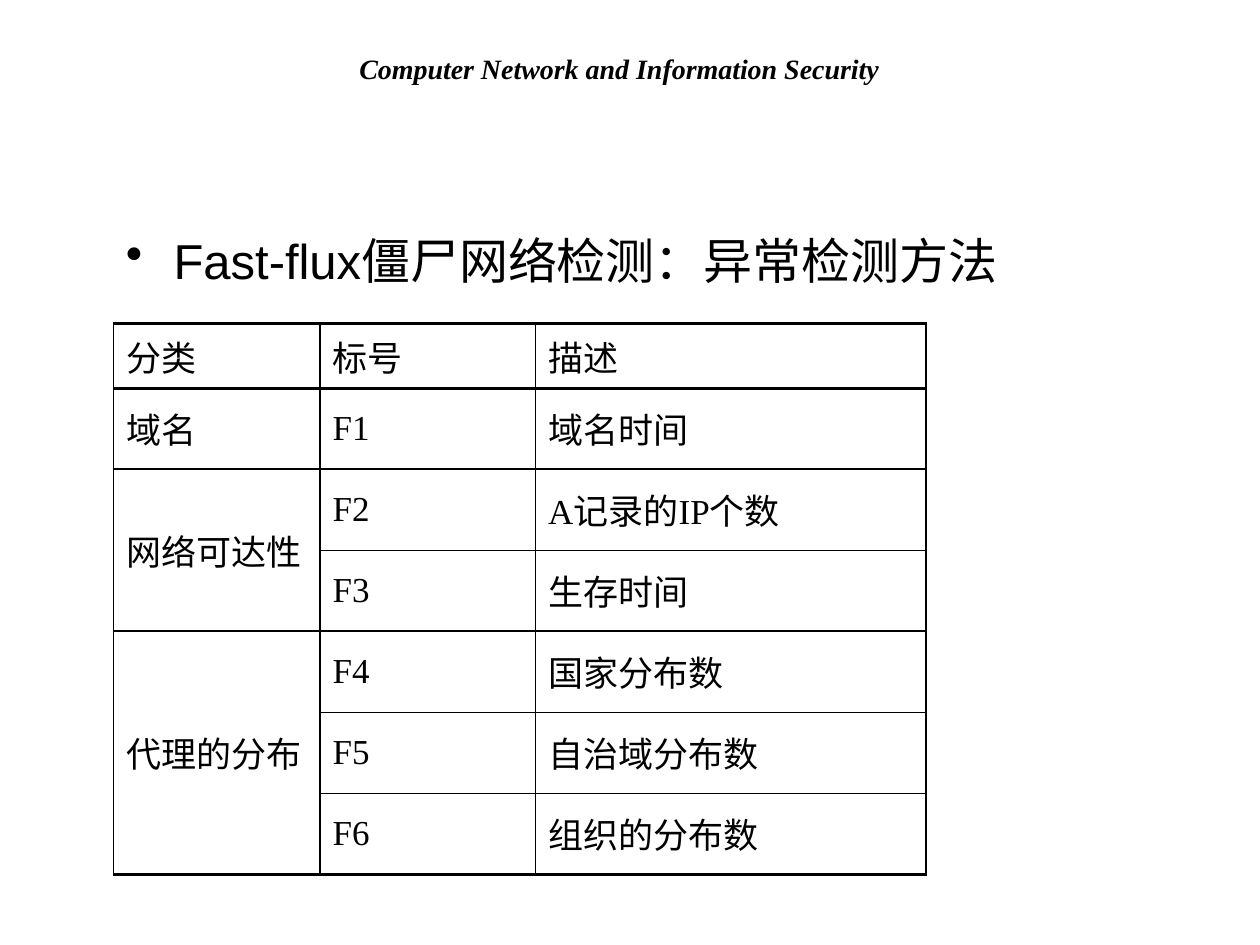
from lxml.etree import SubElement
from pptx import Presentation
from pptx.dml.color import RGBColor
from pptx.enum.shapes import MSO_SHAPE
from pptx.enum.text import MSO_ANCHOR, PP_ALIGN
from pptx.oxml.ns import qn
from pptx.util import Inches, Pt

BLACK, WHITE = "000000", "FFFFFF"
HANGING = 0.38
GROUPS = [
    ("分类", [("标号", "描述")]),
    ("域名", [("F1", "域名时间")]),
    ("网络可达性", [("F2", "A记录的IP个数"), ("F3", "生存时间")]),
    ("代理的分布", [("F4", "国家分布数"), ("F5", "自治域分布数"), ("F6", "组织的分布数")]),
]
COLUMN_WIDTHS = [1.64, 1.71, 3.1]
ROW_HEIGHTS = [0.51] + [0.643] * 6
RULE_WIDTHS = {0: 2, 1: 2, 2: 1, 4: 1, 7: 2}
THIN = 0.75


def color(value):
    return RGBColor.from_string(value)


class SlideBuilder:
    """Hold the text style and the current slide, and add its elements."""

    def __init__(self, slide):
        self.slide = slide
        self.serif = "Times New Roman"
        self.sans = "Arial"

    def add_run(self, paragraph, text, size, font, emphasis=False):
        run = paragraph.add_run()
        run.text = text
        run.font.size = Pt(size)
        run.font.name = font
        run.font.bold = run.font.italic = emphasis
        run.font.color.rgb = color(BLACK)

    def hang(self, paragraph):
        properties = paragraph._p.get_or_add_pPr()
        properties.set("marL", str(Inches(HANGING)))
        properties.set("indent", str(-Inches(HANGING)))
        return properties

    def add_header(self, text, left, top, width, height):
        shape = self.slide.shapes.add_shape(
            MSO_SHAPE.RECTANGLE, Inches(left), Inches(top), Inches(width), Inches(height))
        shape.shadow.inherit = False
        shape.fill.solid()
        shape.fill.fore_color.rgb = color(WHITE)
        shape.line.fill.background()
        shape.text_frame.vertical_anchor = MSO_ANCHOR.MIDDLE
        paragraph = shape.text_frame.paragraphs[0]
        paragraph.alignment = PP_ALIGN.CENTER
        self.add_run(paragraph, text, 16, self.serif, emphasis=True)

    def add_bullet(self, text, left, top, width, height):
        shape = self.slide.shapes.add_textbox(
            Inches(left), Inches(top), Inches(width), Inches(height))
        shape.text_frame.word_wrap = True
        paragraph = shape.text_frame.paragraphs[0]
        SubElement(self.hang(paragraph), qn("a:buChar"), char="•")
        self.add_run(paragraph, text, 28, self.sans)

    def add_borders(self, cell, top, bottom):
        properties = cell._tc.get_or_add_tcPr()
        for side, width in (("L", THIN), ("R", THIN), ("T", top), ("B", bottom)):
            line = SubElement(properties, qn(f"a:ln{side}"), w=str(Pt(width)))
            fill = SubElement(line, qn("a:solidFill"))
            SubElement(fill, qn("a:srgbClr"), val=BLACK)

    def fill_cell(self, cell, text, first, last):
        self.add_borders(cell, RULE_WIDTHS.get(first, THIN), RULE_WIDTHS.get(last, THIN))
        cell.fill.background()
        cell.vertical_anchor = MSO_ANCHOR.MIDDLE
        if text:
            paragraph = cell.text_frame.paragraphs[0]
            self.hang(paragraph)
            self.add_run(paragraph, text, 20, self.serif)

    def add_feature_table(self, groups, left, top):
        table = self.slide.shapes.add_table(
            len(ROW_HEIGHTS), len(COLUMN_WIDTHS), Inches(left), Inches(top),
            Inches(sum(COLUMN_WIDTHS)), Inches(sum(ROW_HEIGHTS))).table
        table.first_row = table.horz_banding = False
        for column, width in zip(table.columns, COLUMN_WIDTHS):
            column.width = Inches(width)
        for row, height in zip(table.rows, ROW_HEIGHTS):
            row.height = Inches(height)
        start = 0
        for category, features in groups:
            end = start + len(features)
            for row, (label, description) in enumerate(features, start):
                self.fill_cell(table.cell(row, 0), category if row == start else "", start, end)
                self.fill_cell(table.cell(row, 1), label, row, row + 1)
                self.fill_cell(table.cell(row, 2), description, row, row + 1)
            if len(features) > 1:
                table.cell(start, 0).merge(table.cell(end - 1, 0))
            start = end


def main():
    presentation = Presentation()
    presentation.slide_width = Inches(10)
    presentation.slide_height = Inches(7.5)
    builder = SlideBuilder(presentation.slides.add_slide(presentation.slide_layouts[6]))
    builder.add_header("Computer Network and Information Security", 1.61, 0.36, 6.61, 0.37)
    builder.add_bullet("Fast-flux僵尸网络检测：异常检测方法", 0.9, 1.78, 7.47, 0.7)
    builder.add_feature_table(GROUPS, 0.9, 2.57)
    presentation.save("out.pptx")


if __name__ == "__main__":
    main()
